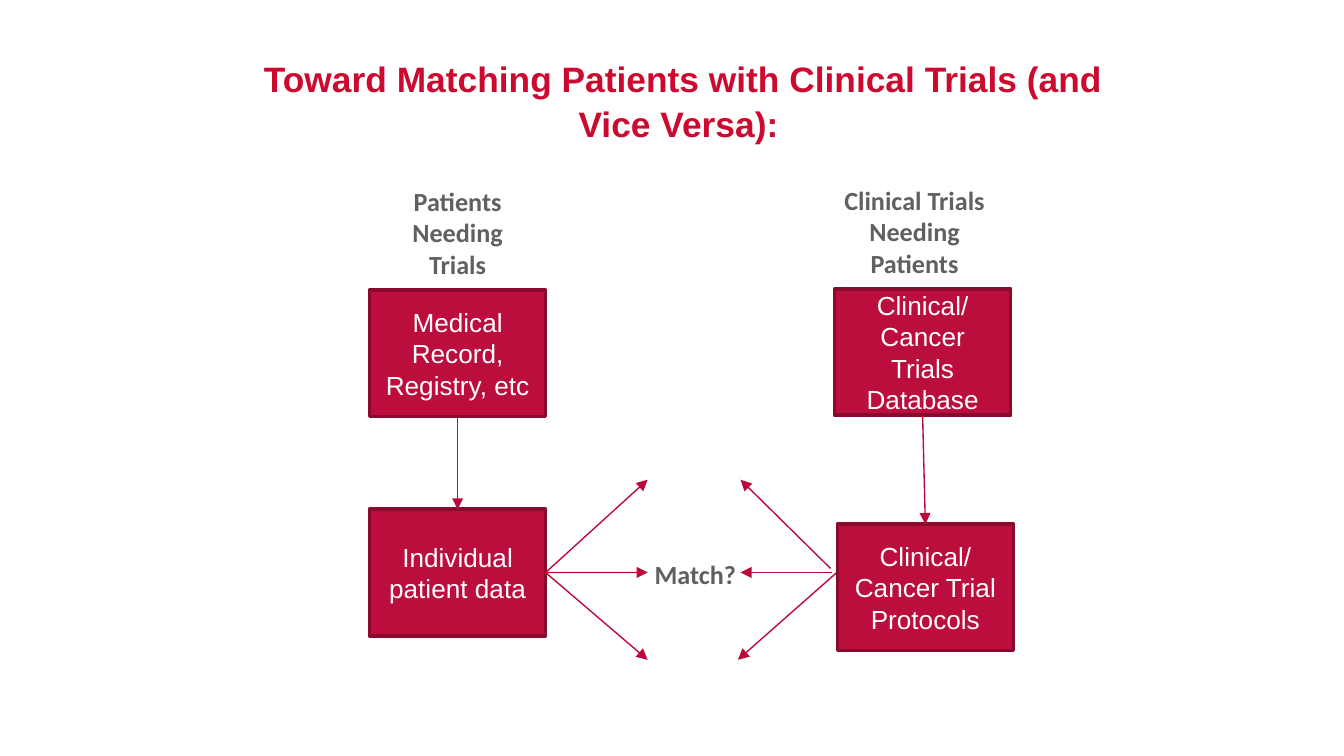
"""Build the slide on matching patients with clinical trials."""
from lxml import etree
from pptx import Presentation
from pptx import util as u
from pptx.dml.color import RGBColor
from pptx.enum import shapes, text
from pptx.oxml.ns import qn

TITLE_RED = RGBColor(0xCC, 0x09, 0x2F)
BOX_RED = RGBColor(0xBB, 0x0E, 0x3D)
EDGE_RED = RGBColor(0x8A, 0x0A, 0x2D)
ARROW_RED = RGBColor(0xBB, 0x09, 0x3A)
GREY = RGBColor(0x60, 0x60, 0x60)
WHITE = RGBColor(0xFF, 0xFF, 0xFF)
BOX_SIZE = (94.3, 67.7)
TOP, LEFT, BOTTOM, RIGHT = range(4)


def points(*lengths):
    """Turn plain numbers into lengths in points."""
    return [u.Pt(length) for length in lengths]


def write(box, words, font, size, colour, bold=False):
    """Write one centred, wrapping paragraph into a shape."""
    box.text_frame.word_wrap = True
    para = box.text_frame.paragraphs[0]
    para.alignment = text.PP_ALIGN.CENTER
    span = para.add_run()
    span.text = words
    span.font.name = font
    span.font.size = u.Pt(size)
    span.font.bold = bold
    span.font.color.rgb = colour
    return para


def add_title(page, words):
    """Add the slide title."""
    box = page.shapes.add_textbox(*points(123.1, 29.5, 486, 50.4))
    frame = box.text_frame
    frame.margin_left = frame.margin_right = 0
    frame.margin_top = frame.margin_bottom = 0
    write(box, words, "Arial", 18.9, TITLE_RED, True).line_spacing = 1.06


def add_label(page, words, left, top, width, height):
    """Add a bold grey label."""
    box = page.shapes.add_textbox(*points(left, top, width, height))
    write(box, words, "Calibri", 14, GREY, True)
    return box


def add_box(page, words, left, top):
    """Add a red box with white text."""
    box = page.shapes.add_shape(shapes.MSO_SHAPE.RECTANGLE,
                                *points(left, top, *BOX_SIZE))
    box.shadow.inherit = False
    box.fill.solid()
    box.fill.fore_color.rgb = BOX_RED
    box.line.color.rgb = EDGE_RED
    box.line.width = u.Pt(2)
    box.text_frame.vertical_anchor = text.MSO_ANCHOR.MIDDLE
    write(box, words, "Arial", 14, WHITE)
    return box


def add_arrow(page, start=(0, 0), end=(0, 0)):
    """Add a thin straight arrow pointing at its end."""
    arrow = page.shapes.add_connector(shapes.MSO_CONNECTOR.STRAIGHT,
                                      *points(*start, *end))
    arrow.line.color.rgb = ARROW_RED
    arrow.line.width = u.Pt(0.75)
    etree.SubElement(arrow.line._get_or_add_ln(), qn("a:tailEnd"),
                     type="triangle")
    etree.SubElement(arrow._element.spPr, qn("a:effectLst"))
    return arrow


def join_down(page, upper, lower):
    """Point an arrow from one box down to the next."""
    arrow = add_arrow(page)
    arrow.begin_connect(upper, BOTTOM)
    arrow.end_connect(lower, TOP)


def main():
    """Compose and save the slide."""
    deck = Presentation()
    deck.slide_width, deck.slide_height = points(720, 405)
    page = deck.slides.add_slide(deck.slide_layouts[6])

    add_title(page, "Toward Matching Patients with Clinical Trials "
                    "(and Vice Versa): ")
    add_label(page, "Patients Needing Trials", 202.3, 95.8, 85.7, 58.3)
    add_label(page, "Clinical Trials Needing Patients",
              436.3, 95.2, 107.3, 58.3)
    match = add_label(page, "Match?", 343.4, 295.5, 58.3, 24.3)
    match.text_frame.word_wrap = False

    records = add_box(page, "Medical Record, Registry, etc", 198, 155.5)
    patient = add_box(page, "Individual patient data", 198, 272.9)
    for height in (257, 306.7, 353.5):
        arrow = add_arrow(page, end=(347, height))
        arrow.begin_connect(patient, RIGHT)

    for start, end in (((445, 304.6), (396.7, 257)),
                       ((445.7, 306.7), (396.7, 306.7)),
                       ((450.7, 304.6), (395.3, 353.5))):
        add_arrow(page, start, end)
    database = add_box(page, "Clinical/ Cancer Trials Database", 447.1, 154.8)
    protocols = add_box(page, "Clinical/ Cancer Trial Protocols",
                        448.6, 280.8)

    join_down(page, records, patient)
    join_down(page, database, protocols)
    deck.save("out.pptx")


if __name__ == "__main__":
    main()
